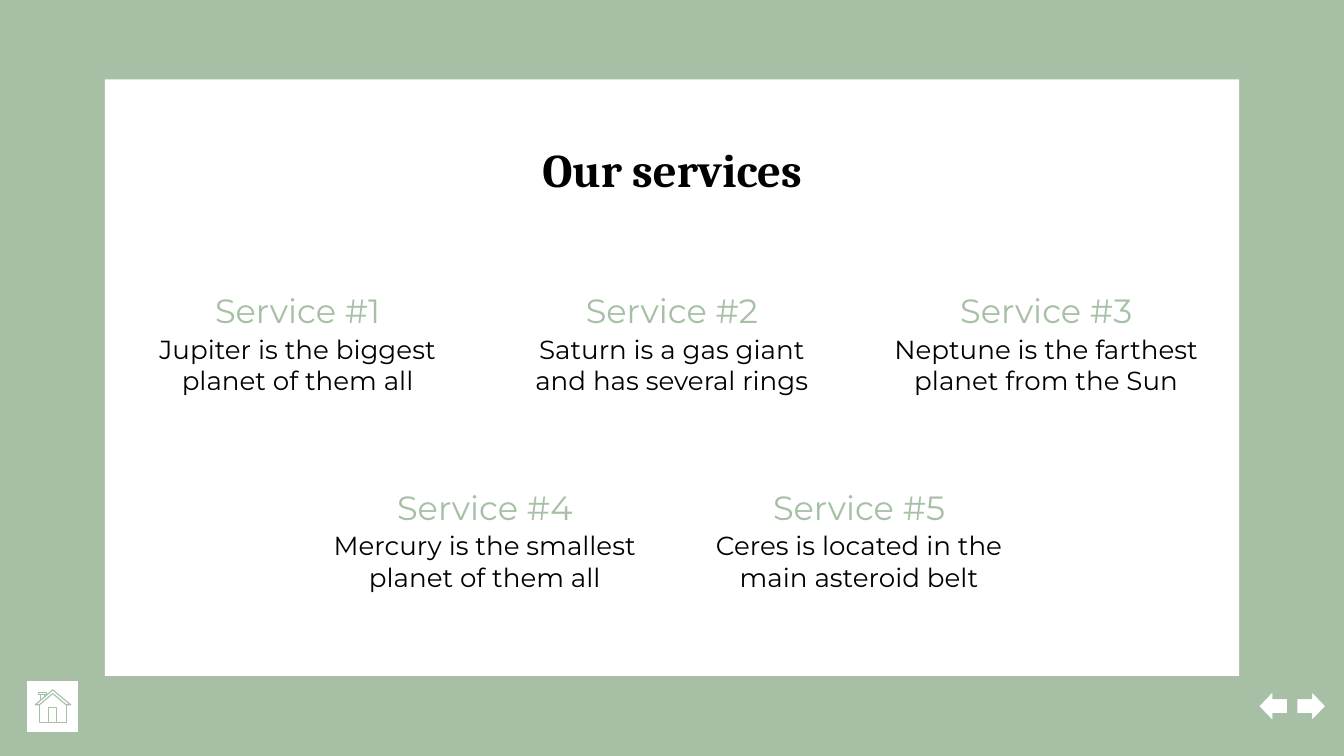
from pptx import Presentation
from pptx.dml.color import RGBColor
from pptx.enum.shapes import MSO_SHAPE as Preset
from pptx.enum.text import MSO_ANCHOR as Anchor, PP_ALIGN as Align
from pptx.util import Pt

SAGE = RGBColor(0xA6, 0xBF, 0xA5)
WHITE = RGBColor(0xFF, 0xFF, 0xFF)
BLACK = RGBColor(0x00, 0x00, 0x00)

SLIDE_WIDTH, SLIDE_HEIGHT = 720, 405
SERVICE_WIDTH, SERVICE_STEP = 181.4, 200.5
HEADING_HEIGHT, DESCRIPTION_HEIGHT = 36.7, 49.7
DESCRIPTION_OFFSET = 23.8

SERVICE_ROWS = [
    (147.6, ["Jupiter is the biggest planet of them all",
             "Saturn is a gas giant and has several rings",
             "Neptune is the farthest planet from the Sun"]),
    (252.8, ["Mercury is the smallest planet of them all",
             "Ceres is located in the main asteroid belt"]),
]

HOUSE_ROOF = [(18.9, 377.6), (28.3, 369.6), (37.9, 377.6), (35.5, 377.6),
              (28.3, 371.6), (21.1, 377.6), (18.9, 377.6)]
HOUSE_WALLS = [(21.2, 377.6), (21.2, 387), (35.5, 387), (35.5, 377.6)]
HOUSE_DOOR = [(26.2, 387), (26.2, 379.2), (30.4, 379.2), (30.4, 387)]
CHIMNEY_CAP = [(20.9, 371), (24.9, 371), (24.9, 372.2), (20.9, 372.2), (20.9, 371)]
CHIMNEY_STACK = [(21.7, 375.2), (21.7, 372.2), (24.1, 372.2), (24.1, 373.2)]


class ServicesSlide:
    heading_font = "Cambria"
    body_font = "Montserrat"

    def __init__(self, slide):
        self.slide = slide
        background = slide.background.fill
        background.solid()
        background.fore_color.rgb = SAGE

    def shape(self, preset, left, top, width, height, line=None, rotation=0):
        shape = self.slide.shapes.add_shape(
            preset, Pt(left), Pt(top), Pt(width), Pt(height))
        shape.shadow.inherit = False
        shape.rotation = rotation
        shape.fill.solid()
        shape.fill.fore_color.rgb = WHITE
        if line is None:
            shape.line.fill.background()
        else:
            shape.line.color.rgb = line
            shape.line.width = Pt(0.75)

    def text(self, words, left, top, width, height, size, color,
             font=body_font, bold=False, anchor=Anchor.TOP):
        box = self.slide.shapes.add_textbox(Pt(left), Pt(top), Pt(width), Pt(height))
        frame = box.text_frame
        frame.word_wrap = True
        frame.vertical_anchor = anchor
        frame.margin_left = frame.margin_right = Pt(7.2)
        frame.margin_top = frame.margin_bottom = Pt(7.2)
        frame.text = words
        paragraph = frame.paragraphs[0]
        paragraph.alignment = Align.CENTER
        style = paragraph.runs[0].font
        style.name, style.size, style.bold = font, Pt(size), bold
        style.color.rgb = color

    def outline(self, contours, color, width):
        first, *others = [[(Pt(x), Pt(y)) for x, y in contour] for contour in contours]
        builder = self.slide.shapes.build_freeform(*first[0])
        builder.add_line_segments(first[1:], close=False)
        for contour in others:
            builder.move_to(*contour[0])
            builder.add_line_segments(contour[1:], close=False)
        shape = builder.convert_to_shape()
        shape.shadow.inherit = False
        shape.fill.background()
        shape.line.color.rgb = color
        shape.line.width = Pt(width)

    def service(self, number, description, left, top):
        self.text(description, left, top + DESCRIPTION_OFFSET,
                  SERVICE_WIDTH, DESCRIPTION_HEIGHT, 14, BLACK)
        self.text(f"Service #{number}", left, top,
                  SERVICE_WIDTH, HEADING_HEIGHT, 18, SAGE, anchor=Anchor.BOTTOM)


def main():
    deck = Presentation()
    deck.slide_width, deck.slide_height = Pt(SLIDE_WIDTH), Pt(SLIDE_HEIGHT)
    page = ServicesSlide(deck.slides.add_slide(deck.slide_layouts[6]))

    page.shape(Preset.RECTANGLE, 56.2, 42.5, 607.6, 319.6)
    page.text("Our services", 56.2, 68.4, 607.6, 43.2, 25, BLACK,
              font=page.heading_font, bold=True)

    number = 1
    for top, descriptions in SERVICE_ROWS:
        row_width = SERVICE_WIDTH + SERVICE_STEP * (len(descriptions) - 1)
        row_left = (SLIDE_WIDTH - row_width) / 2
        for column, description in enumerate(descriptions):
            page.service(number, description, row_left + column * SERVICE_STEP, top)
            number += 1

    for left, rotation in [(674.1, 0), (694.6, 180)]:
        page.shape(Preset.LEFT_ARROW, left, 370.1, 15.8, 16.4, SAGE, rotation)

    page.shape(Preset.RECTANGLE, 14.2, 364.5, 27.9, 27.9, SAGE)
    page.outline([HOUSE_ROOF, HOUSE_WALLS, HOUSE_DOOR, CHIMNEY_CAP, CHIMNEY_STACK],
                 SAGE, 0.6)

    deck.save("out.pptx")


if __name__ == "__main__":
    main()
